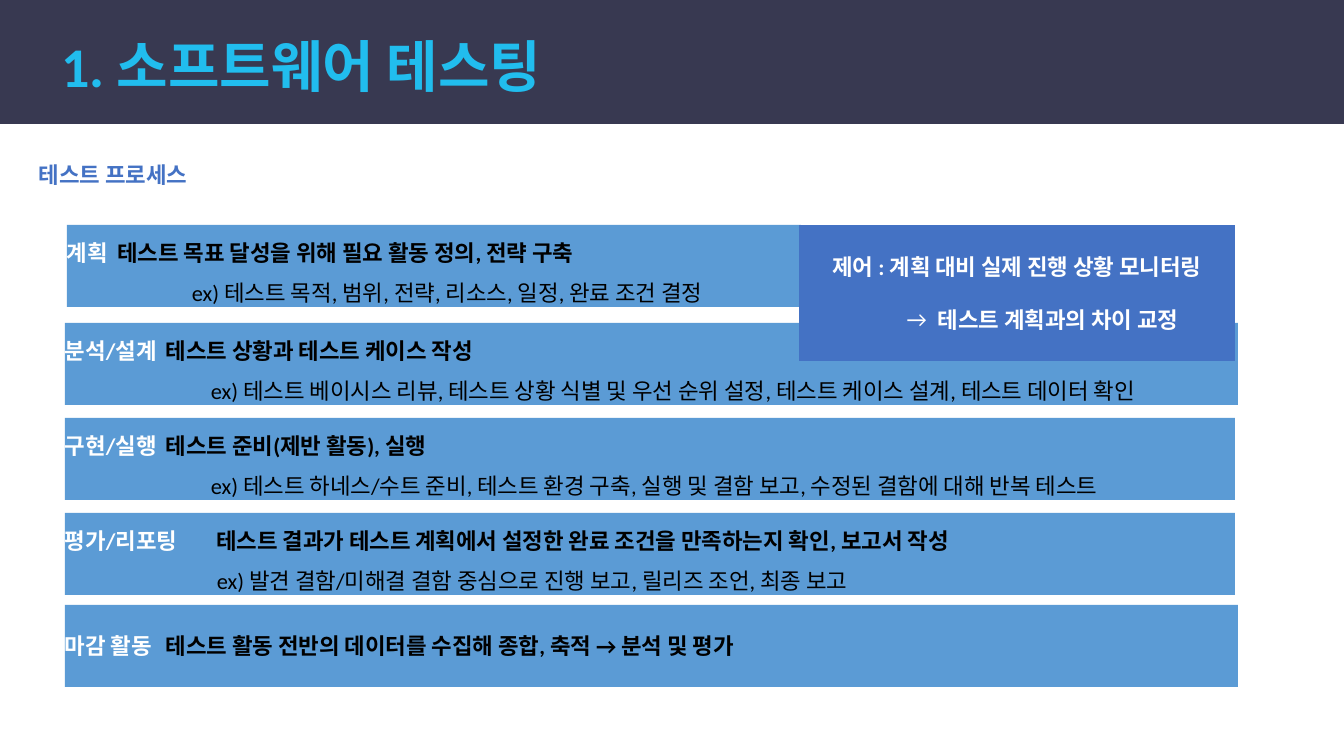
from lxml import etree
from pptx import Presentation
from pptx.dml.color import RGBColor
from pptx.enum.shapes import MSO_SHAPE
from pptx.enum.text import MSO_ANCHOR, PP_ALIGN
from pptx.oxml.ns import qn
from pptx.util import Emu, Pt

RECTANGLE = MSO_SHAPE.RECTANGLE
TOP, MIDDLE = MSO_ANCHOR.TOP, MSO_ANCHOR.MIDDLE
LEFT, CENTER = PP_ALIGN.LEFT, PP_ALIGN.CENTER

WHITE, BLACK = "FFFFFF", "000000"
NAVY, CYAN = "383951", "21BDEE"
SKY, BLUE = "5B9BD5", "4472C4"
KOREAN_FONT = "Noto Sans CJK KR"

ROW_HEIGHT = 82
STEPS = [
    {"box": (67, 225, 734), "label": "계획", "goal_at": 144, "example_at": 125,
     "goal": "테스트 목표 달성을 위해 필요 활동 정의, 전략 구축",
     "example": "ex) 테스트 목적, 범위, 전략, 리소스, 일정, 완료 조건 결정"},
    {"box": (65, 323, 1173), "label": "분석/설계", "goal_at": 159, "example_at": 146,
     "goal": "테스트 상황과 테스트 케이스 작성",
     "example": "ex) 테스트 베이시스 리뷰, 테스트 상황 식별 및 우선 순위 설정, "
                "테스트 케이스 설계, 테스트 데이터 확인"},
    {"box": (65, 418, 1170), "label": "구현/실행", "goal_at": 258, "example_at": 146,
     "goal": "테스트 준비(제반 활동), 실행",
     "example": "ex) 테스트 하네스/수트 준비, 테스트 환경 구축, 실행 및 결함 보고, "
                "수정된 결함에 대해 반복 테스트"},
    {"box": (65, 513, 1170), "label": "평가/리포팅", "goal_at": 154, "example_at": 152,
     "goal": "테스트 결과가 테스트 계획에서 설정한 완료 조건을 만족하는지 확인, 보고서 작성",
     "example": "ex) 발견 결함/미해결 결함 중심으로 진행 보고, 릴리즈 조언, 최종 보고"},
    {"box": (65, 605, 1173), "label": "마감 활동", "goal_at": 157,
     "goal": "테스트 활동 전반의 데이터를 수집해 종합, 축적 → 분석 및 평가"},
]
CONTROL = ("제어 : 계획 대비 실제 진행 상황 모니터링", "테스트 계획과의 차이 교정")


def px(value):
    return Emu(round(value * 914400 / 100.8))


def color(value):
    return RGBColor.from_string(value)


def add_box(left, top, width, height, fill):
    shape = slide.shapes.add_shape(RECTANGLE, px(left), px(top), px(width), px(height))
    shape.shadow.inherit = False
    shape.fill.solid()
    shape.fill.fore_color.rgb = color(fill)
    shape.line.fill.background()
    return shape


def prepare_frame(shape, insets=(0, 0, 0, 0), anchor=MIDDLE):
    frame = shape.text_frame
    frame.word_wrap = True
    frame.vertical_anchor = anchor
    frame.margin_left, frame.margin_top, frame.margin_right, frame.margin_bottom = map(px, insets)
    return frame


def add_paragraph(frame, first=False, align=LEFT, spacing=1.0, before=0,
                  margin=0, indent=0, tab=None, bullet=None):
    paragraph = frame.paragraphs[0] if first else frame.add_paragraph()
    paragraph.alignment = align
    paragraph.line_spacing = spacing
    paragraph.space_before = Pt(before)
    properties = paragraph._p.get_or_add_pPr()
    properties.set("marL", str(px(margin)))
    properties.set("indent", str(px(indent)))
    if bullet:
        bullet_color = etree.SubElement(properties, qn("a:buClr"))
        etree.SubElement(bullet_color, qn("a:srgbClr"), val=WHITE)
        etree.SubElement(properties, qn("a:buFont"), typeface="Calibri")
        etree.SubElement(properties, qn("a:buChar"), char=bullet)
    if tab:
        tabs = etree.SubElement(properties, qn("a:tabLst"))
        etree.SubElement(tabs, qn("a:tab"), pos=str(px(tab)), algn="l")
    return paragraph


def add_text(paragraph, text, size=16, font="Calibri", fill=WHITE, bold=True):
    run = paragraph.add_run()
    run.text = text
    run.font.size = Pt(size)
    run.font.name = font
    run.font.bold = bold
    run.font.color.rgb = color(fill)
    etree.SubElement(run.font._element, qn("a:ea"), typeface=font)


def add_step(step):
    left, top, width = step["box"]
    frame = prepare_frame(add_box(left, top, width, ROW_HEIGHT, SKY))
    spacing = 1.5 if "example" in step else 1.0
    heading = add_paragraph(frame, first=True, spacing=spacing, tab=step["goal_at"])
    add_text(heading, step["label"] + "\t")
    add_text(heading, step["goal"], fill=BLACK)
    if "example" in step:
        example = add_paragraph(frame, spacing=spacing, margin=step["example_at"])
        add_text(example, step["example"], fill=BLACK, bold=False)


presentation = Presentation()
presentation.slide_width = px(1344)
presentation.slide_height = px(756)
slide = presentation.slides.add_slide(presentation.slide_layouts[6])

add_box(0, 0, 1344, 124, NAVY)

title_box = slide.shapes.add_textbox(px(48), px(39), px(540), px(61))
title = add_paragraph(prepare_frame(title_box, insets=(13, 0, 0, 0)), first=True, spacing=0.9)
add_text(title, "1. ", size=40, fill=CYAN)
add_text(title, "소프트웨어 테스팅", size=40, font=KOREAN_FONT, fill=CYAN)

subtitle_box = slide.shapes.add_textbox(px(29), px(156), px(1008), px(37))
subtitle = add_paragraph(prepare_frame(subtitle_box, insets=(10, 5, 10, 5), anchor=TOP), first=True)
add_text(subtitle, "테스트 프로세스", font="Cabin", fill=BLUE)

for step in STEPS:
    add_step(step)

control_frame = prepare_frame(add_box(799, 225, 436, 136, BLUE))
add_text(add_paragraph(control_frame, first=True, align=CENTER), CONTROL[0])
correction = add_paragraph(control_frame, align=CENTER, before=19,
                           margin=82, indent=-31, bullet="→")
add_text(correction, CONTROL[1])

presentation.save("out.pptx")
